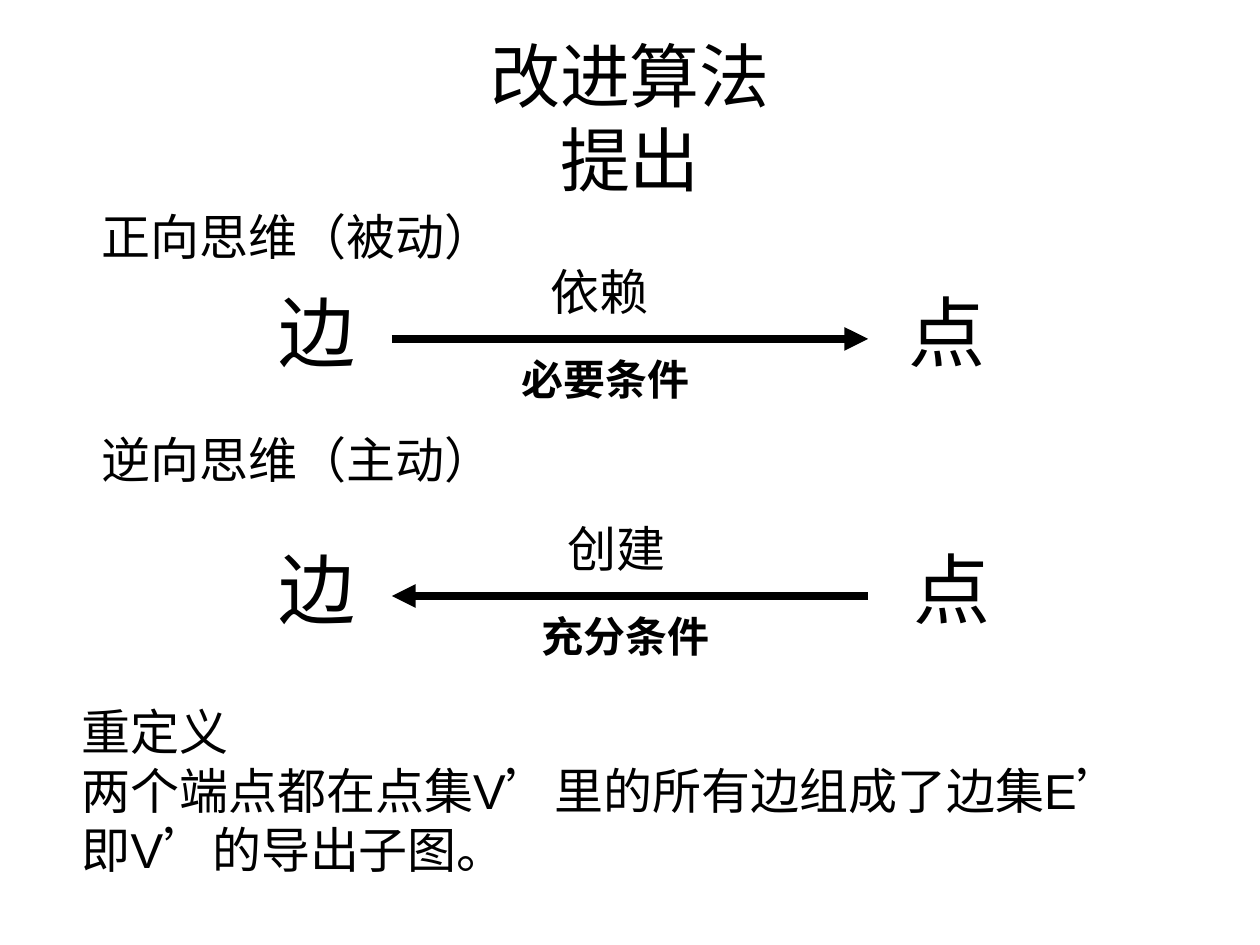
from lxml import etree
from pptx import Presentation
from pptx.dml.color import RGBColor
from pptx.enum.lang import MSO_LANGUAGE_ID
from pptx.enum.shapes import MSO_CONNECTOR
from pptx.enum.text import MSO_ANCHOR, MSO_AUTO_SIZE, PP_ALIGN
from pptx.oxml.ns import qn
from pptx.util import Inches, Pt

LEFT, CENTER = PP_ALIGN.LEFT, PP_ALIGN.CENTER
MIDDLE = MSO_ANCHOR.MIDDLE
FIT_SHAPE = MSO_AUTO_SIZE.SHAPE_TO_FIT_TEXT
STRAIGHT = MSO_CONNECTOR.STRAIGHT
CHINESE = MSO_LANGUAGE_ID.SIMPLIFIED_CHINESE

COLORS = {"text": "000000", "arrow": "000000"}
LATIN, CJK = "Arial", "Noto Sans CJK SC"
ARROW_LEFT, ARROW_RIGHT = 3.11, 6.89


def write(p, text, size=28, bold=False, font=LATIN, align=LEFT):
    """Append formatted text; a newline becomes a line break."""
    p.alignment = align
    for i, line in enumerate(text.split("\n")):
        if i:
            p.add_line_break()
        if not line:
            continue
        r = p.add_run()
        r.text = line
        r.font.size = Pt(size)
        r.font.bold = bold
        r.font.name = font
        r.font.color.rgb = RGBColor.from_string(COLORS["text"])
        r.font.language_id = CHINESE
        etree.SubElement(r.font._element, qn("a:ea"), typeface=CJK)


def add_box(slide, left, top, width, height):
    box = slide.shapes.add_textbox(*map(Inches, (left, top, width, height)))
    tf = box.text_frame
    tf.word_wrap = True
    tf.auto_size = FIT_SHAPE
    return tf


def add_label(slide, text, left, top, width, height, **fmt):
    tf = add_box(slide, left, top, width, height)
    write(tf.paragraphs[0], text, **fmt)


def add_arrow(slide, y, end):
    line = slide.shapes.add_connector(
        STRAIGHT, Inches(ARROW_LEFT), Inches(y), Inches(ARROW_RIGHT), Inches(y))
    line.line.width = Pt(4.5)
    line.line.color.rgb = RGBColor.from_string(COLORS["arrow"])
    etree.SubElement(line.line._get_or_add_ln(), qn("a:" + end), type="triangle")
    etree.SubElement(line._element.spPr, qn("a:effectLst"))


def add_relation(slide, y, end, verb, verb_left, condition, condition_left, point_left):
    """Edge and point joined by an arrow at height y, with a label on each side."""
    add_label(slide, condition, condition_left, y + 0.07, 3.87, 0.5,
              size=24, bold=True, align=CENTER)
    add_label(slide, "边", 1.77, y - 0.48, 1.49, 0.84, size=44, align=CENTER)
    add_arrow(slide, y, end)
    add_label(slide, verb, verb_left, y - 0.66, 1.05, 0.57, align=CENTER)
    add_label(slide, "点", point_left, y - 0.48, 1.49, 0.84, size=44, align=CENTER)


def add_title(slide, text):
    title = slide.shapes.title
    title.left, title.top, title.width, title.height = map(Inches, (0.5, 0.3, 9, 1.25))
    title.text_frame.vertical_anchor = MIDDLE
    write(title.text_frame.paragraphs[0], text, size=40, align=CENTER)


def add_definition(slide):
    tf = add_box(slide, 0.55, 5.52, 9.45, 1.5)
    p = tf.paragraphs[0]
    for text, font in [("重定义\n", LATIN), ("两个端点都在点集", CJK), ("V’", LATIN),
                       ("里的所有边组成了边集", CJK), ("E’", LATIN)]:
        write(p, text, font=font)
    write(tf.add_paragraph(), "即V’的导出子图。")


def main():
    prs = Presentation()
    prs.slide_width, prs.slide_height = Inches(10), Inches(7.5)
    slide = prs.slides.add_slide(prs.slide_layouts[5])
    add_title(slide, "改进算法\n提出")

    # Forward and reverse reasoning
    add_relation(slide, 2.69, "tailEnd", "依赖", 4.23, "必要条件", 2.87, 6.77)
    add_relation(slide, 4.73, "headEnd", "创建", 4.37, "充分条件", 3.03, 6.81)
    add_label(slide, "正向思维（被动）", 0.71, 1.59, 4.29, 0.57)
    add_label(slide, "逆向思维（主动）", 0.71, 3.36, 3.4, 0.57)

    # Redefinition
    add_definition(slide)
    prs.save("out.pptx")


if __name__ == "__main__":
    main()
